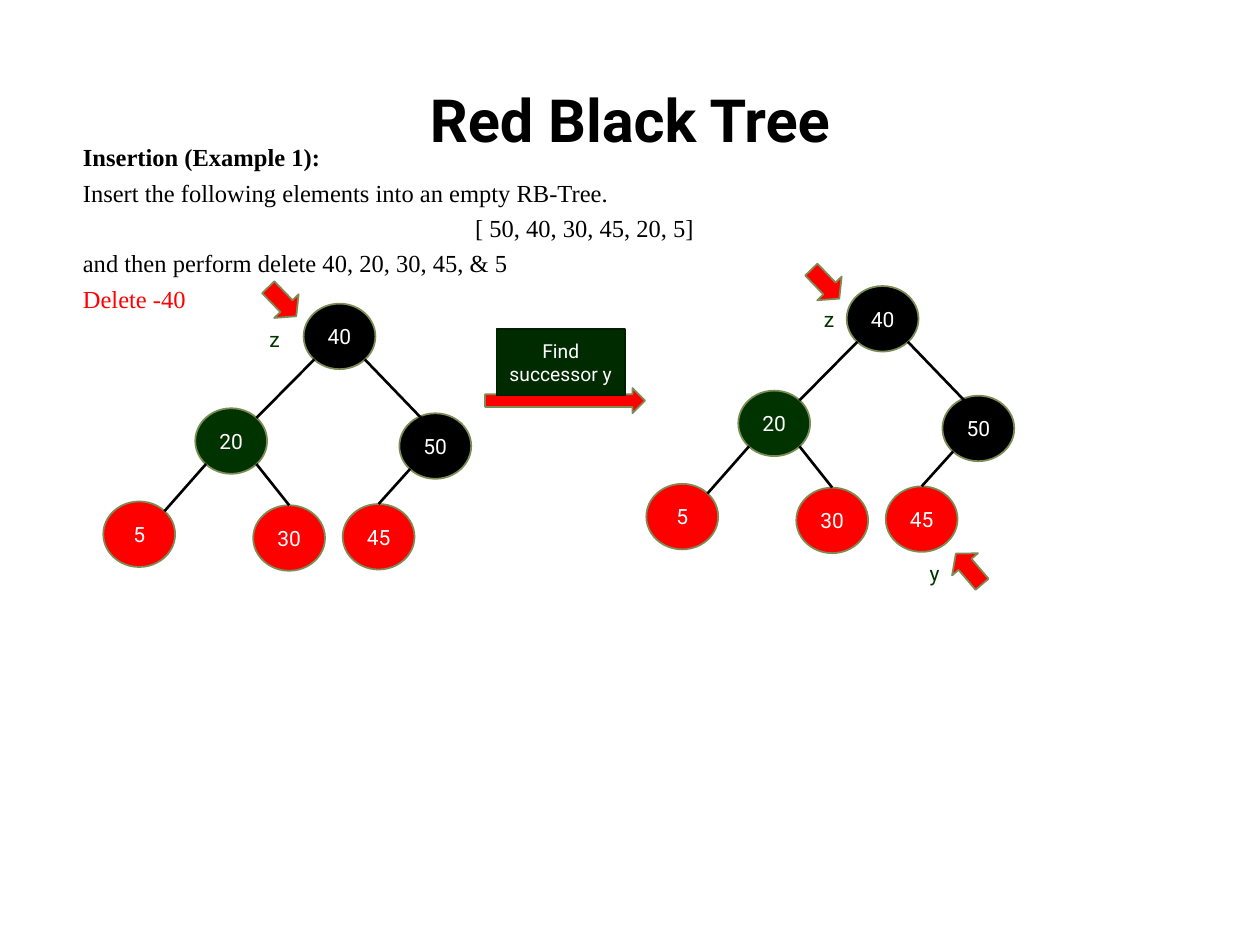
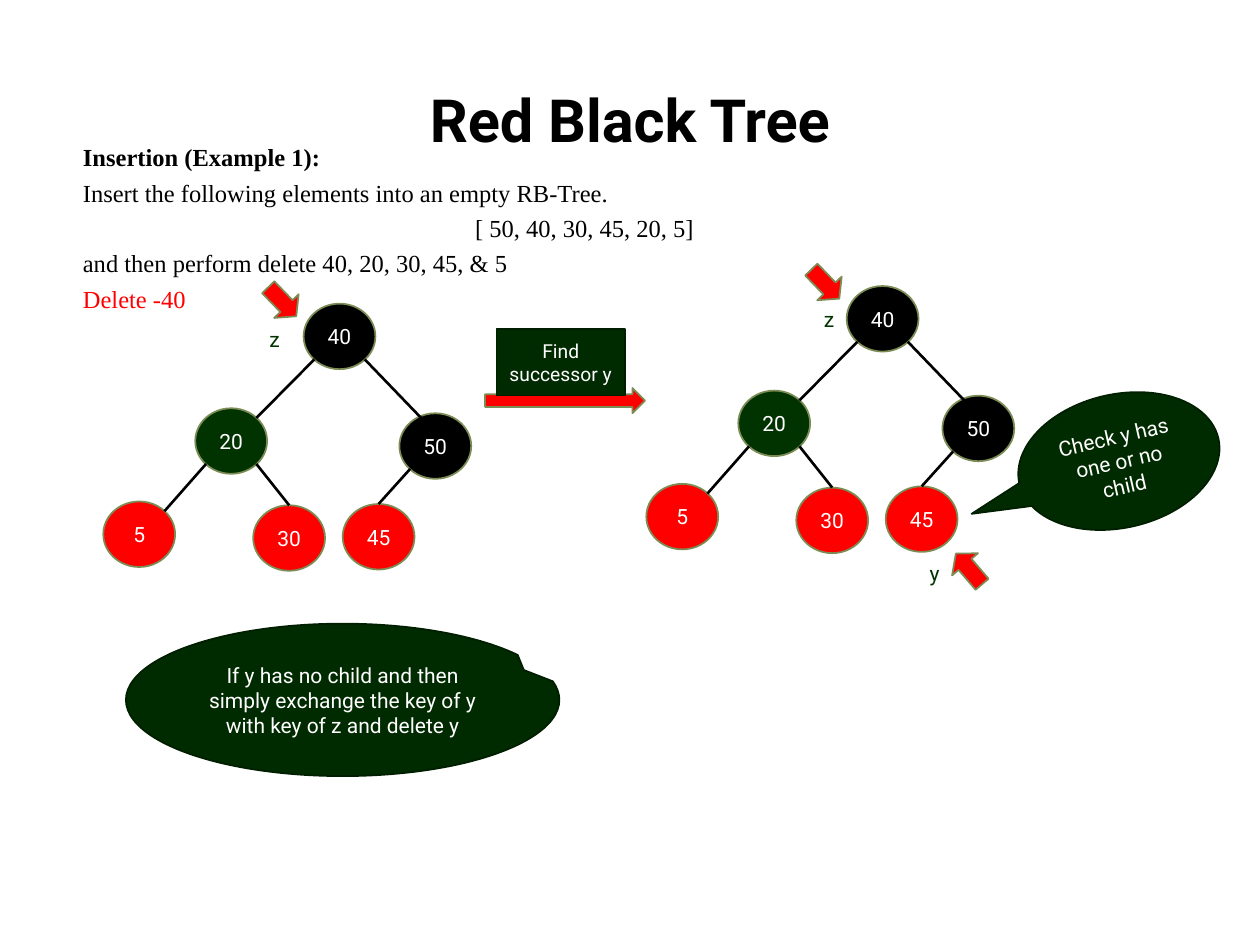
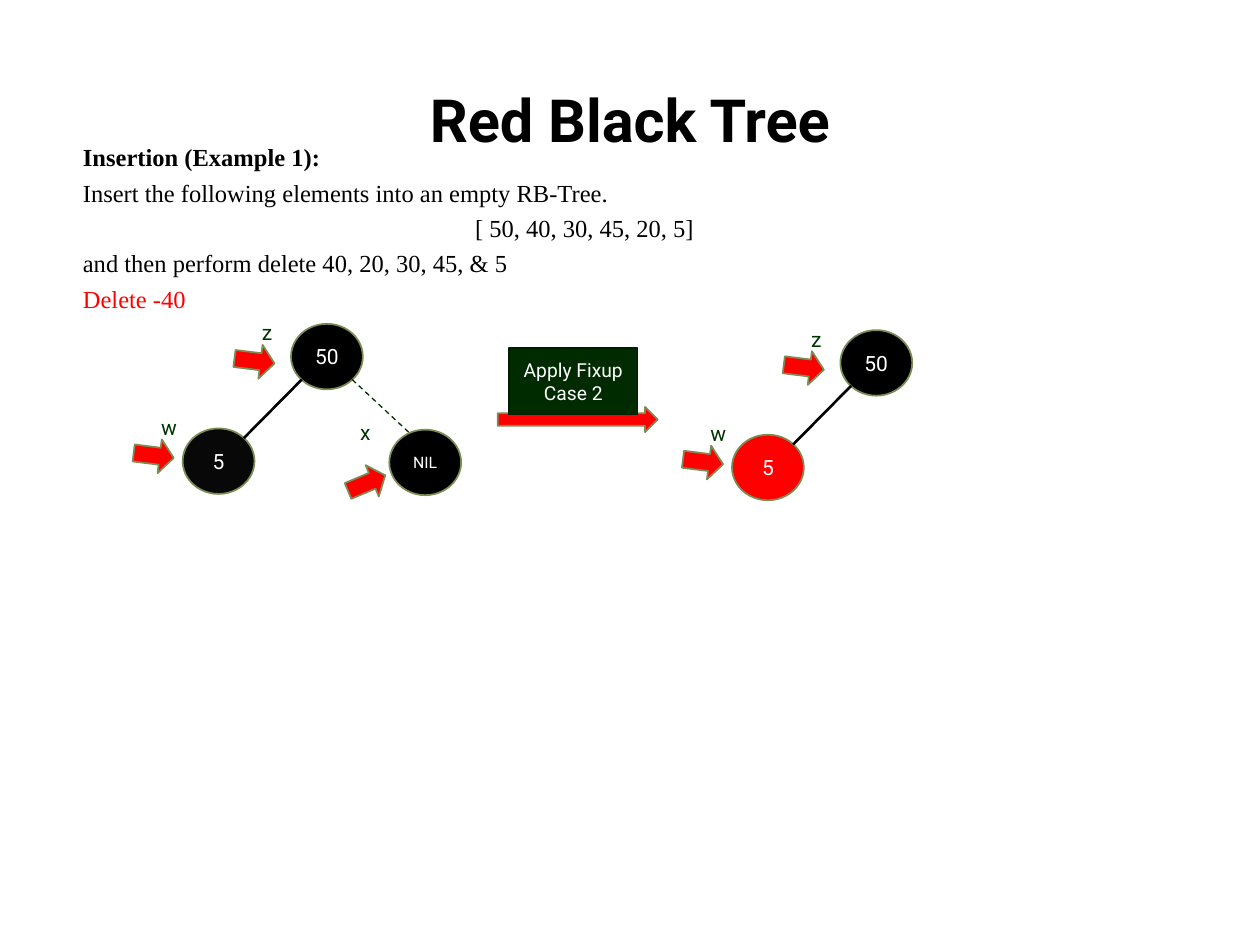
import dataclasses

import lxml.etree
import pptx
import pptx.dml.color
import pptx.enum.dml
import pptx.enum.shapes
import pptx.enum.text
import pptx.oxml.ns
import pptx.util

SHAPE = pptx.enum.shapes.MSO_SHAPE
ALIGN = pptx.enum.text.PP_ALIGN
ANCHOR = pptx.enum.text.MSO_ANCHOR


@dataclasses.dataclass(frozen=True)
class Theme:
    black: str = "000000"
    near_black: str = "080808"
    white: str = "FFFFFF"
    red: str = "FF0000"
    green: str = "003300"
    panel: str = "002A00"
    panel_line: str = "001F00"
    outline: str = "7B8D55"
    sans: str = "Roboto"
    serif: str = "Times New Roman"
    title: int = 34
    body: int = 14
    label: int = 12
    step: int = 11
    small: int = 9


T = Theme()

# The slide is a grid of 10 columns by 7.5 rows
COLUMNS, ROWS = 10, 7.5
WIDTH, HEIGHT = pptx.util.Inches(10), pptx.util.Inches(7.5)
NODE_W, NODE_H = 0.57, 0.52

# Where an edge meets a node, as shares of the node's size
LOW_LEFT, LOW_RIGHT = (0.15, 0.85), (0.85, 0.85)
TOP, HIGH_LEFT, HIGH_RIGHT = (0.5, 0), (0.31, 0.08), (0.85, 0.15)


class Deck:
    def __init__(self):
        self.prs = pptx.Presentation()
        self.prs.slide_width, self.prs.slide_height = WIDTH, HEIGHT

    def slide(self):
        self.s = self.prs.slides.add_slide(self.prs.slide_layouts[6])
        self.ungroup()

    def group(self, dx=0, dy=0):
        """Start a group whose contents are shifted by dx columns, dy rows."""
        self.shapes = self.s.shapes.add_group_shape().shapes
        self.origin = dx, dy

    def ungroup(self):
        self.shapes, self.origin = self.s.shapes, (0, 0)

    def at(self, x, y):
        dx, dy = self.origin
        return round((x + dx) * WIDTH / COLUMNS), round((y + dy) * HEIGHT / ROWS)

    def size(self, w, h):
        return round(w * WIDTH / COLUMNS), round(h * HEIGHT / ROWS)

    def color(self, value):
        return pptx.dml.color.RGBColor.from_string(value)

    def format(self, p, size, color, font=T.sans, bold=False, align=ALIGN.CENTER):
        p.alignment = align
        for r in p.runs:
            r.font.name, r.font.size = font, pptx.util.Pt(size)
            r.font.bold, r.font.color.rgb = bold, self.color(color)

    def textbox(self, x, y, w, h, wrap=True):
        tf = self.shapes.add_textbox(*self.at(x, y), *self.size(w, h)).text_frame
        tf.word_wrap = wrap
        return tf

    def title(self, text):
        tf = self.textbox(0.5, 0.55, 9, 0.79)
        tf.vertical_anchor = ANCHOR.MIDDLE
        tf.text = text
        self.format(tf.paragraphs[0], T.title, T.black, bold=True)

    def body(self, lines):
        tf = self.textbox(0.56, 1.08, 8.16, 1.21)
        for i, (text, align, color, bold) in enumerate(lines):
            p = tf.add_paragraph() if i else tf.paragraphs[0]
            p.text = text
            p.space_before = pptx.util.Pt(3.4 if i else 0)
            self.format(p, T.body, color, T.serif, bold, align)

    def label(self, x, y, text):
        tf = self.textbox(x, y, 0.27, 0.3, wrap=False)
        tf.text = text
        self.format(tf.paragraphs[0], T.label, T.green, align=ALIGN.LEFT)

    def shape(self, kind, x, y, w, h, fill, line=T.outline, text="",
              size=T.label, inset=0.1, adj=(), rot=0):
        sp = self.shapes.add_shape(kind, *self.at(x, y), *self.size(w, h))
        sp.shadow.inherit = False
        sp.fill.solid()
        sp.fill.fore_color.rgb = self.color(fill)
        sp.line.color.rgb, sp.line.width = self.color(line), pptx.util.Pt(1)
        sp.rotation = rot
        for i, value in enumerate(adj):
            sp.adjustments[i] = value
        if text:
            tf = sp.text_frame
            tf.word_wrap, tf.vertical_anchor = True, ANCHOR.MIDDLE
            tf.margin_left = tf.margin_right = self.size(inset, 0)[0]
            tf.text = text
            self.format(tf.paragraphs[0], size, T.white)

    def node(self, x, y, text, fill, size=T.label):
        self.shape(SHAPE.OVAL, x, y, NODE_W, NODE_H, fill, text=text, size=size, inset=0)

    def edge(self, parent, start, child, end, dashed=False):
        points = [self.at(n[0] + fx * NODE_W, n[1] + fy * NODE_H)
                  for n, (fx, fy) in ((parent, start), (child, end))]
        line = self.shapes.add_connector(pptx.enum.shapes.MSO_CONNECTOR.STRAIGHT,
                                         *points[0], *points[1])
        line.line.color.rgb = self.color(T.green if dashed else T.black)
        line.line.width = pptx.util.Pt(0.75 if dashed else 1.5)
        if dashed:
            line.line.dash_style = pptx.enum.dml.MSO_LINE.DASH
        lxml.etree.SubElement(line._element.spPr, pptx.oxml.ns.qn("a:effectLst"))

    def pointer(self, x, y, rot, text, label_x, label_y):
        self.shape(SHAPE.RIGHT_ARROW, x, y, 0.32, 0.27, T.red, adj=(0.5, 0.415), rot=rot)
        self.label(label_x, label_y, text)

    def step(self, x, y, text):
        self.group(x, y)
        self.shape(SHAPE.RIGHT_ARROW, 0, 0, 1.27, 0.2, T.red)
        self.shape(SHAPE.RECTANGLE, 0.09, -0.47, 1.02, 0.53, T.panel, T.panel_line,
                   text, T.step, inset=0.05)
        self.ungroup()

    def callout(self, x, y, w, h, text, adj, rot=0):
        self.shape(SHAPE.OVAL_CALLOUT, x, y, w, h, T.panel, T.panel_line, text,
                   adj=adj, rot=rot)

    def tree(self, nodes, edges, pointers, dx=0, dy=0):
        self.group(dx, dy)
        for node in nodes.values():
            self.node(*node)
        for parent, start, child, end, *dashed in edges:
            self.edge(nodes[parent], start, nodes[child], end, *dashed)
        for pointer in pointers:
            self.pointer(*pointer)
        self.ungroup()


# Text shared by all slides
INTRO = [
    ("Insertion (Example 1):", ALIGN.JUSTIFY, T.black, True),
    ("Insert the following elements into an empty RB-Tree.", ALIGN.JUSTIFY, T.black, False),
    ("[ 50, 40, 30, 45, 20, 5]", ALIGN.CENTER, T.black, False),
    ("and then perform delete 40, 20, 30, 45, & 5", ALIGN.LEFT, T.black, False),
    ("Delete -40", ALIGN.LEFT, T.red, False),
]

# Tree before the deletion
FULL_NODES = {
    "40": (2.41, 2.41, "40", T.black),
    "50": (3.17, 3.28, "50", T.black),
    "20": (1.55, 3.24, "20", T.green),
    "45": (2.72, 4, "45", T.red),
    "5": (0.82, 3.98, "5", T.red),
    "30": (2.01, 4.01, "30", T.red),
}
FULL_EDGES = [
    ("40", LOW_RIGHT, "50", HIGH_LEFT),
    ("40", LOW_LEFT, "20", HIGH_RIGHT),
    ("50", LOW_LEFT, "45", TOP),
    ("20", LOW_LEFT, "5", HIGH_RIGHT),
    ("20", LOW_RIGHT, "30", TOP),
]
Z_BEFORE = (2.08, 2.26, 46, "z", 2.04, 2.54)
Z_FOUND = (2.08, 2.26, 46, "z", 2.13, 2.52)
Y_FOUND = (3.22, 4.52, 229.5, "y", 2.97, 4.54)

# Subtree repaired by the fixup
ROOT = (2.31, 2.57, "50", T.black)
LEFT = (1.45, 3.4, "5")
NIL = (3.09, 3.41, "NIL", T.black, T.small)
ROOT_LEFT = ("50", LOW_LEFT, "5", HIGH_RIGHT)
ROOT_NIL = ("50", LOW_RIGHT, "NIL", HIGH_LEFT, True)
Z_W = [(1.86, 2.73, 7.1, "z", 1.98, 2.49), (1.06, 3.48, 7.1, "w", 1.18, 3.24)]
X = (2.75, 3.7, 337.2, "x", 2.76, 3.28)


def start_slide(d):
    d.slide()
    d.title("Red Black Tree")
    d.body(INTRO)


def successor_slide(d):
    start_slide(d)
    d.tree(FULL_NODES, FULL_EDGES, [Z_BEFORE])
    d.step(3.85, 3.08, "Find successor y")
    d.tree(FULL_NODES, FULL_EDGES, [Z_FOUND, Y_FOUND], 4.31, -0.14)


def check_slide(d):
    successor_slide(d)
    d.callout(8.07, 3.13, 1.62, 1.06, "Check y has one or no child", (-0.761, 0.141), 347.2)
    d.callout(1, 4.95, 3.44, 1.21, "If y has no child and then simply exchange "
              "the key of y with key of z and delete y", (0.418, -0.196))


def fixup_slide(d):
    start_slide(d)
    d.tree({"50": ROOT, "5": (*LEFT, T.near_black), "NIL": NIL},
           [ROOT_LEFT, ROOT_NIL], [*Z_W, X])
    d.step(3.95, 3.23, "Apply Fixup Case 2")
    d.tree({"50": ROOT, "5": (*LEFT, T.red)}, [ROOT_LEFT], Z_W, 4.36, 0.05)


def main():
    d = Deck()
    successor_slide(d)
    check_slide(d)
    fixup_slide(d)
    d.prs.save("out.pptx")


if __name__ == "__main__":
    main()
